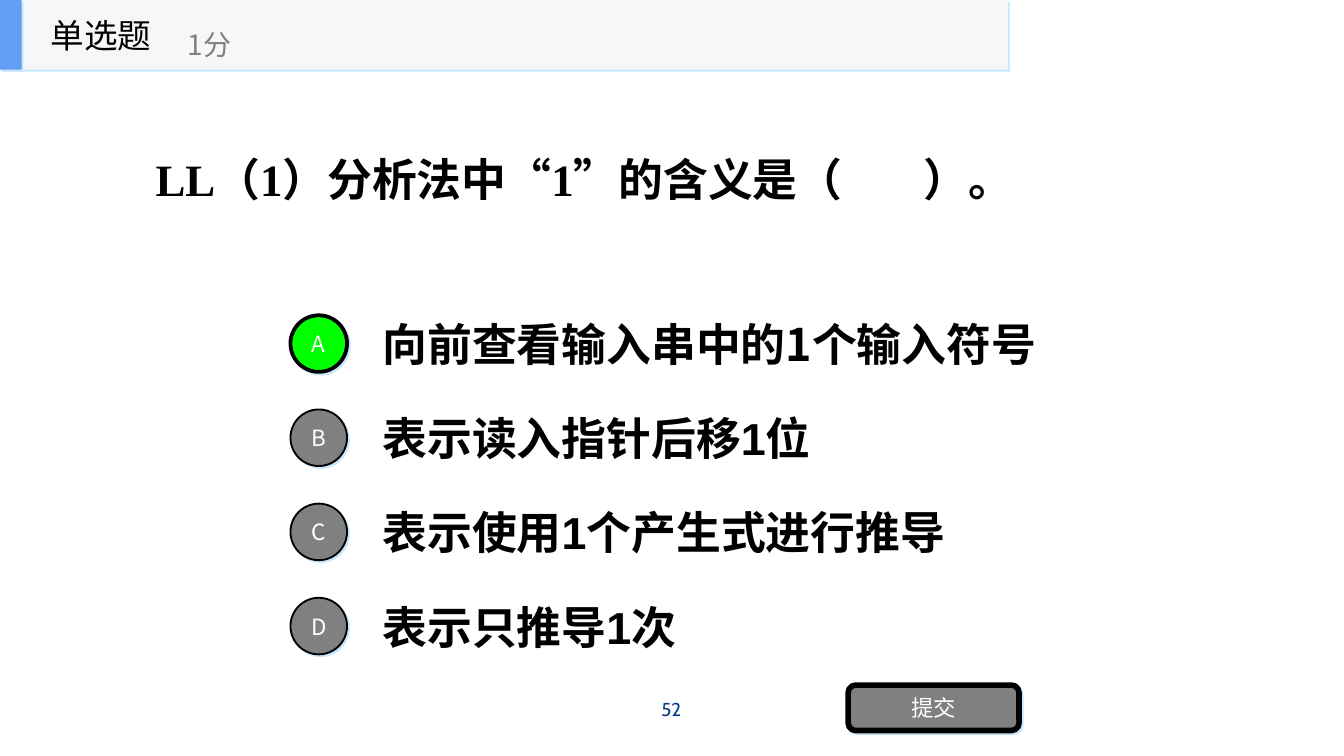
import pptx
import pptx.util
import pptx.dml.color
import pptx.enum.shapes
import pptx.enum.text
import pptx.oxml.ns
import lxml.etree

Cm, Pt = pptx.util.Cm, pptx.util.Pt
SHAPE = pptx.enum.shapes.MSO_SHAPE
ALIGN = pptx.enum.text.PP_ALIGN

QUESTION = "LL（1）分析法中“1”的含义是（        ）。"
OPTIONS = [  # letter, answer, font, marker fill, marker outline in points
    ("A", "向前查看输入串中的1个输入符号", "Noto Sans CJK SC", "green", 2),
    ("B", "表示读入指针后移1位", "Arial", "grey", 1),
    ("C", "表示使用1个产生式进行推导", "Arial", "grey", 1),
    ("D", "表示只推导1次", "Arial", "grey", 1),
]
COLORS = {
    "black": "000000", "white": "FFFFFF", "grey": "808080", "green": "00FF00",
    "navy": "073E87", "bar": "F6F7F8", "accent": "639EF4", "shadow": "C6E7FC",
}
CJK = "Noto Sans CJK SC"
MARKER = 1.07
ROW_TOP, ROW_PITCH, ROW_HEIGHT = 5.82, 1.78, 1.35


def rgb(name):
    return pptx.dml.color.RGBColor.from_string(COLORS[name])


def write(sp, text, size=12, font=CJK, color="white", bold=False,
          align=ALIGN.LEFT, inset=(0.25, 0.13)):
    tf = sp.text_frame
    tf.word_wrap = True
    tf.auto_size = pptx.enum.text.MSO_AUTO_SIZE.NONE
    tf.vertical_anchor = pptx.enum.text.MSO_ANCHOR.MIDDLE
    tf.margin_left = tf.margin_right = Cm(inset[0])
    tf.margin_top = tf.margin_bottom = Cm(inset[1])
    p = tf.paragraphs[0]
    p.alignment = align
    r = p.add_run()
    r.text = text
    r.font.size, r.font.bold, r.font.name = Pt(size), bold, font
    r.font.color.rgb = rgb(color)
    ea = lxml.etree.Element(pptx.oxml.ns.qn("a:ea"), typeface=CJK)
    r.font._element.find(pptx.oxml.ns.qn("a:latin")).addnext(ea)


def add_text(shapes, box, text, **fmt):
    write(shapes.add_textbox(*map(Cm, box)), text, **fmt)


def add_block(shapes, kind, box, fill, outline=0):
    """Add a filled shape with a hard, pale blue shadow at lower right."""
    sp = shapes.add_shape(kind, *map(Cm, box))
    sp.fill.solid()
    sp.fill.fore_color.rgb = rgb(fill)
    if outline:
        sp.line.color.rgb = rgb("black")
        sp.line.width = Pt(outline)
    else:
        sp.line.fill.background()
    sp.shadow.inherit = False
    qn = pptx.oxml.ns.qn
    effects = sp._element.spPr.find(qn("a:effectLst"))
    shadow = lxml.etree.SubElement(effects, qn("a:outerShdw"), blurRad="0",
                                   dist=str(Pt(1.4)), dir=str(45 * 60000))
    lxml.etree.SubElement(shadow, qn("a:srgbClr"), val=COLORS["shadow"])
    return sp


prs = pptx.Presentation()
prs.slide_width, prs.slide_height = Cm(25.4), Cm(14.29)
s = prs.slides.add_slide(prs.slide_layouts[5])

title = s.shapes.title
title.left, title.top, title.width, title.height = map(Cm, (2.69, 2.03, 19.05, 2.69))
write(title, QUESTION, size=24, font="Times New Roman", color="black", bold=True)

for i, (letter, answer, font, fill, outline) in enumerate(OPTIONS):
    top = ROW_TOP + i * ROW_PITCH
    add_text(s.shapes, (6.98, top, 13.34, ROW_HEIGHT), answer,
             size=24, font=font, color="black", bold=True)
    marker_top = top + (ROW_HEIGHT - MARKER) / 2
    marker = add_block(s.shapes, SHAPE.OVAL, (5.49, marker_top, MARKER, MARKER),
                       fill, outline)
    write(marker, letter, align=ALIGN.CENTER, inset=(0.18, 0.1))

submit = add_block(s.shapes, SHAPE.ROUNDED_RECTANGLE, (16.03, 12.95, 3.23, 0.86),
                   "grey", 3)
write(submit, "提交", align=ALIGN.CENTER, inset=(0.18, 0.1))
add_text(s.shapes, (11.07, 13.03, 3.23, 0.76), "52", size=10, font="Cabin",
         color="navy", align=ALIGN.CENTER)

header = s.shapes.add_group_shape().shapes
add_block(header, SHAPE.RECTANGLE, (0, 0, 19.05, 1.32), "bar")
add_block(header, SHAPE.RECTANGLE, (0, 0, 0.41, 1.32), "accent")
add_text(header, (0.71, 0, 3.96, 1.32), "单选题", size=18, color="black")
add_text(header, (3.3, 0.3, 4.78, 1.07), "1分", size=15, color="grey")

prs.save("out.pptx")
